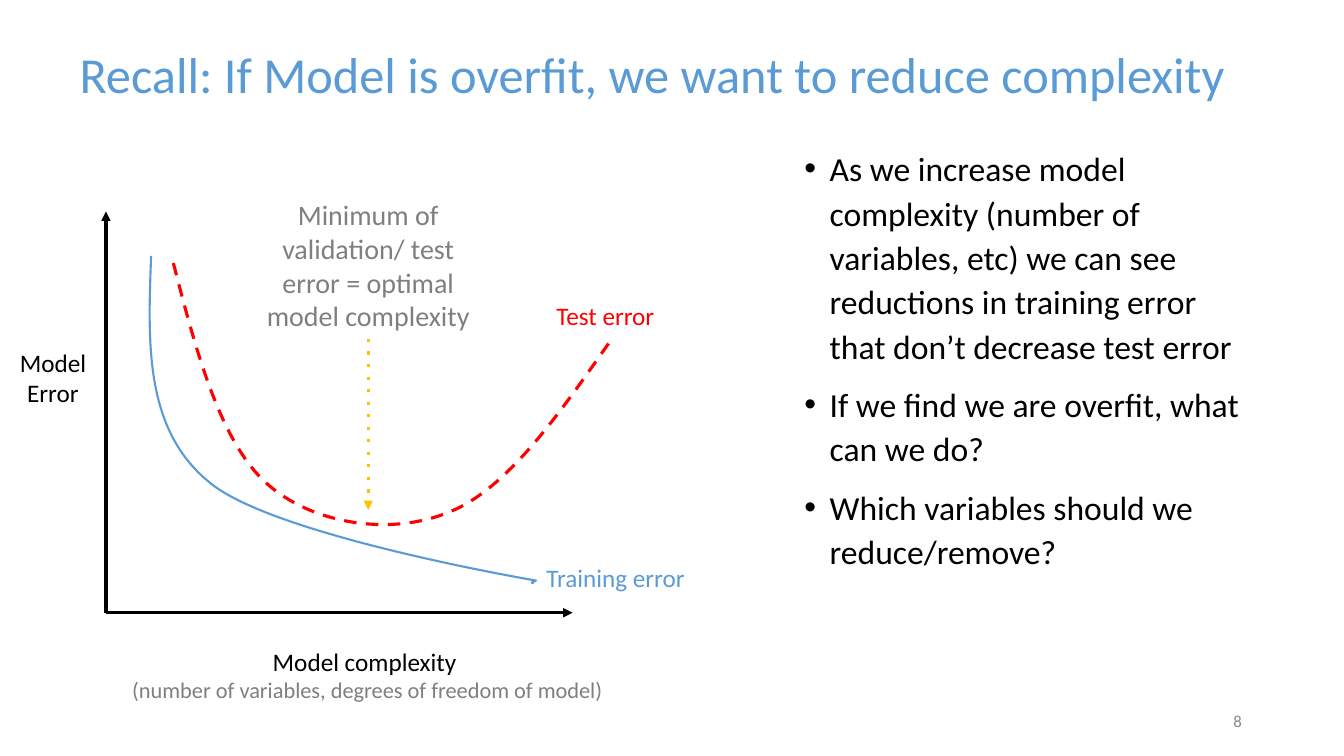
from lxml import etree
from pptx import Presentation
from pptx.dml.color import RGBColor
from pptx.enum.shapes import MSO_CONNECTOR, MSO_SHAPE
from pptx.enum.text import MSO_ANCHOR, MSO_AUTO_SIZE, PP_ALIGN
from pptx.oxml.ns import qn
from pptx.util import Cm, Pt

LEFT, CENTER, RIGHT = PP_ALIGN.LEFT, PP_ALIGN.CENTER, PP_ALIGN.RIGHT
TOP, MIDDLE = MSO_ANCHOR.TOP, MSO_ANCHOR.MIDDLE
STRAIGHT, RECTANGLE = MSO_CONNECTOR.STRAIGHT, MSO_SHAPE.RECTANGLE
NO_AUTOFIT = MSO_AUTO_SIZE.NONE

FONT = "Calibri"
COLORS = {
    "blue": "5B9BD5", "red": "FF0000", "gold": "FFC000", "black": "000000",
    "grey": "7F7F7F", "number": "888888", "white": "FFFFFF",
}
TRAINING_CURVE = [
    (1.14, 1.12), (1.06, 3.28), (0.96, 5.47), (2.59, 6.81),
    (4.19, 8.18), (10.84, 9.3), (10.84, 9.3),
    (10.84, 9.3), (10.64, 9.38), (10.79, 9.35),
]
TEST_CURVE = [
    (1.7, 1.3), (2.28, 3.56), (2.89, 5.82), (4.06, 6.86),
    (5.23, 7.9), (7.21, 8.18), (8.66, 7.57),
    (10.11, 6.99), (11.4, 5.13), (12.7, 3.28),
]
BULLETS = [
    "As we increase model complexity (number of variables, etc) we can see "
    "reductions in training error that don’t decrease test error",
    "If we find we are overfit, what can we do?",
    "Which variables should we reduce/remove?",
]


def rgb(name):
    """Return the named colour."""
    return RGBColor.from_string(COLORS[name])


def write_text(sp, *lines, size=18, color="black", align=LEFT, anchor=TOP,
               spacing=None, before=0):
    """Write one paragraph per line into a shape and format them."""
    tf = sp.text_frame
    tf.word_wrap = True
    tf.auto_size = NO_AUTOFIT
    tf.vertical_anchor = anchor
    for i, line in enumerate(lines):
        p = tf.paragraphs[0] if i == 0 else tf.add_paragraph()
        p.alignment = align
        p.line_spacing = spacing
        p.space_before = Pt(before if i else 0)
        r = p.add_run()
        r.text = line
        r.font.name = FONT
        r.font.size = Pt(size)
        r.font.color.rgb = rgb(color)
    return tf


def add_text(s, box, *lines, **fmt):
    """Add a formatted text box at a box given in centimetres."""
    return write_text(s.shapes.add_textbox(*map(Cm, box)), *lines, **fmt)


def style_line(sp, color, width, dash=None, arrow=False):
    """Set colour, width, dash and arrowhead of a line."""
    sp.line.color.rgb = rgb(color)
    sp.line.width = Pt(width)
    ln = sp.line._get_or_add_ln()
    if dash:
        etree.SubElement(ln, qn("a:prstDash"), val=dash)
    if arrow:
        etree.SubElement(ln, qn("a:tailEnd"), type="triangle")


def add_arrow(s, start, end, color, dash=None):
    """Add a straight arrow between two points in centimetres."""
    sp = s.shapes.add_connector(STRAIGHT, *map(Cm, start + end))
    style_line(sp, color, 2.25, dash, arrow=True)
    etree.SubElement(sp._element.spPr, qn("a:effectLst"))
    return sp


def add_curve(s, origin, controls, color, width, dash=None):
    """Draw an open chain of cubic Bezier segments relative to an origin."""
    left, top = origin
    points = [(Cm(left + x), Cm(top + y)) for x, y in controls]
    builder = s.shapes.build_freeform(*points[0])
    builder.add_line_segments(points[1:], close=False)
    sp = builder.convert_to_shape()
    segments = list(sp._element.iter(qn("a:lnTo")))
    outline = segments[0].getparent()
    for i in range(0, len(segments), 3):
        cubic = etree.SubElement(outline, qn("a:cubicBezTo"))
        for segment in segments[i:i + 3]:
            cubic.append(segment[0])
            outline.remove(segment)
    sp.shadow.inherit = False
    sp.fill.background()
    style_line(sp, color, width, dash)


def add_title(s, box):
    """Place and format the slide title."""
    sp = s.shapes.title
    sp.left, sp.top, sp.width, sp.height = map(Cm, box)
    write_text(sp, "Recall: If Model is overfit, we want to reduce complexity",
               size=36, color="blue", anchor=MIDDLE, spacing=0.9)


def add_error_plot(s, box):
    """Draw axes, error curves and labels around the plot box."""
    left, top, width, height = box
    corner = (left, top + height)

    label = s.shapes.add_shape(RECTANGLE, Cm(left + 3.5), Cm(top - 0.47),
                               Cm(6.22), Cm(3.68))
    label.shadow.inherit = False
    label.fill.solid()
    label.fill.fore_color.rgb = rgb("white")
    label.line.fill.background()
    write_text(label, "Minimum of validation/ test error = optimal model complexity",
               size=20, color="grey", align=CENTER)
    pointer = add_arrow(s, (left + 6.61, top + 3.21), (left + 6.61, top + 7.52),
                        "gold", "dot")
    pointer.begin_connect(label, 2)

    add_arrow(s, corner, (left, top), "black")
    add_arrow(s, corner, (left + width, top + height), "black")

    add_curve(s, (left, top), TRAINING_CURVE, "blue", 1.5)
    add_text(s, (left + 10.85, top + 8.72, 4.04, 1.02), "Training error", color="blue")
    add_curve(s, (left, top), TEST_CURVE, "red", 2.25, "dash")
    add_text(s, (left + 11.1, top + 2.11, 3, 1.02), "Test error", color="red")

    tf = add_text(s, (left + 0.33, top + height + 0.72, 12.52, 1.7), "Model complexity ",
                  "(number of variables, degrees of freedom of model)", align=CENTER)
    r = tf.paragraphs[1].runs[0]
    r.font.size = Pt(16)
    r.font.color.rgb = rgb("grey")
    add_text(s, (left - 2.44, top + 3.3, 2.21, 1.8), "Model", "Error", align=CENTER)


def add_bullets(s, box):
    """Add the bulleted discussion points."""
    tf = add_text(s, box, *BULLETS, size=24, spacing=1.1, before=10)
    for p in tf.paragraphs:
        pPr = p._p.get_or_add_pPr()
        pPr.set("marL", str(Cm(0.64)))
        pPr.set("indent", str(-Cm(0.64)))
        etree.SubElement(pPr, qn("a:buFont"), typeface="Arial")
        etree.SubElement(pPr, qn("a:buChar"), char="•")


def add_page_number(s, box):
    """Add the page number."""
    add_text(s, box, "8", size=12, color="number", align=RIGHT, anchor=MIDDLE)


def main():
    """Build and save the slide."""
    prs = Presentation()
    prs.slide_width, prs.slide_height = Cm(33.87), Cm(19.05)
    s = prs.slides.add_slide(prs.slide_layouts[5])
    add_title(s, (1.75, 0.38, 29.79, 3.12))
    add_error_plot(s, (2.67, 5.33, 11.76, 10.11))
    add_bullets(s, (20.02, 3.51, 11.53, 13.23))
    add_page_number(s, (23.93, 17.65, 7.62, 1.02))
    prs.save("out.pptx")


if __name__ == "__main__":
    main()
